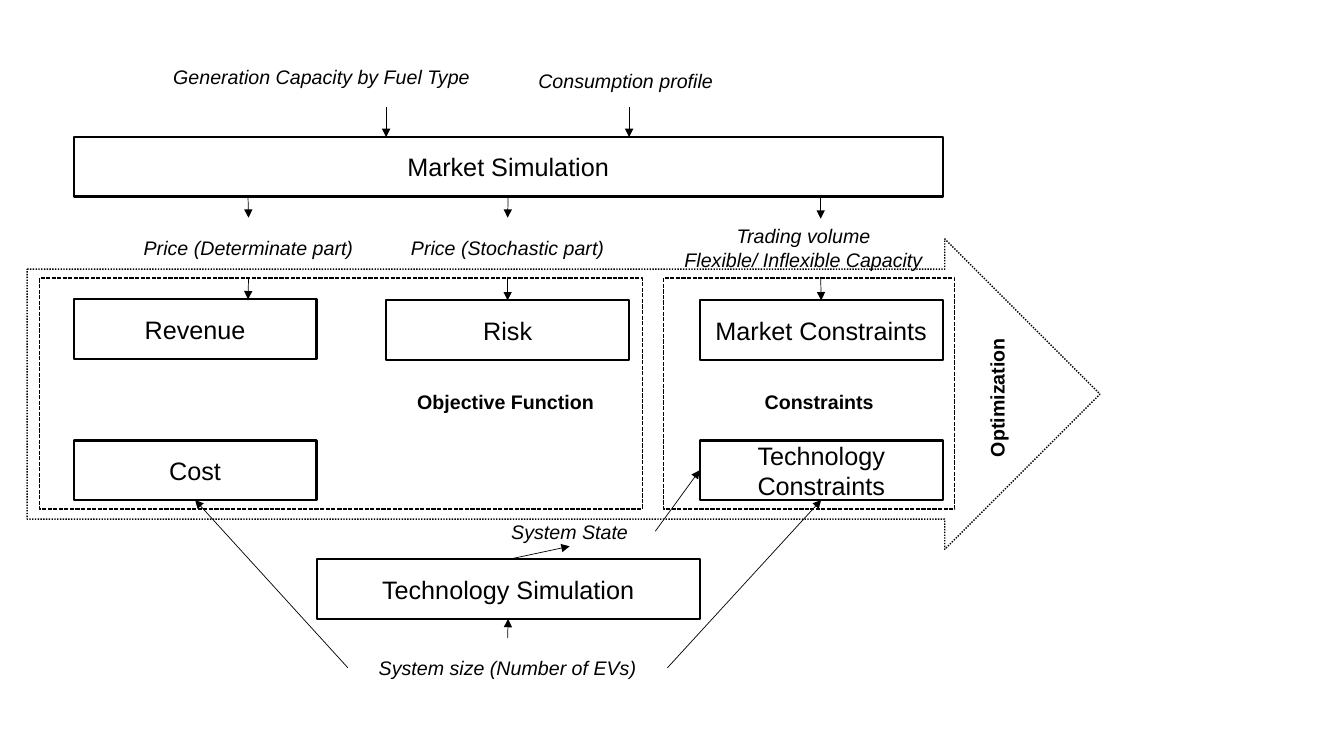
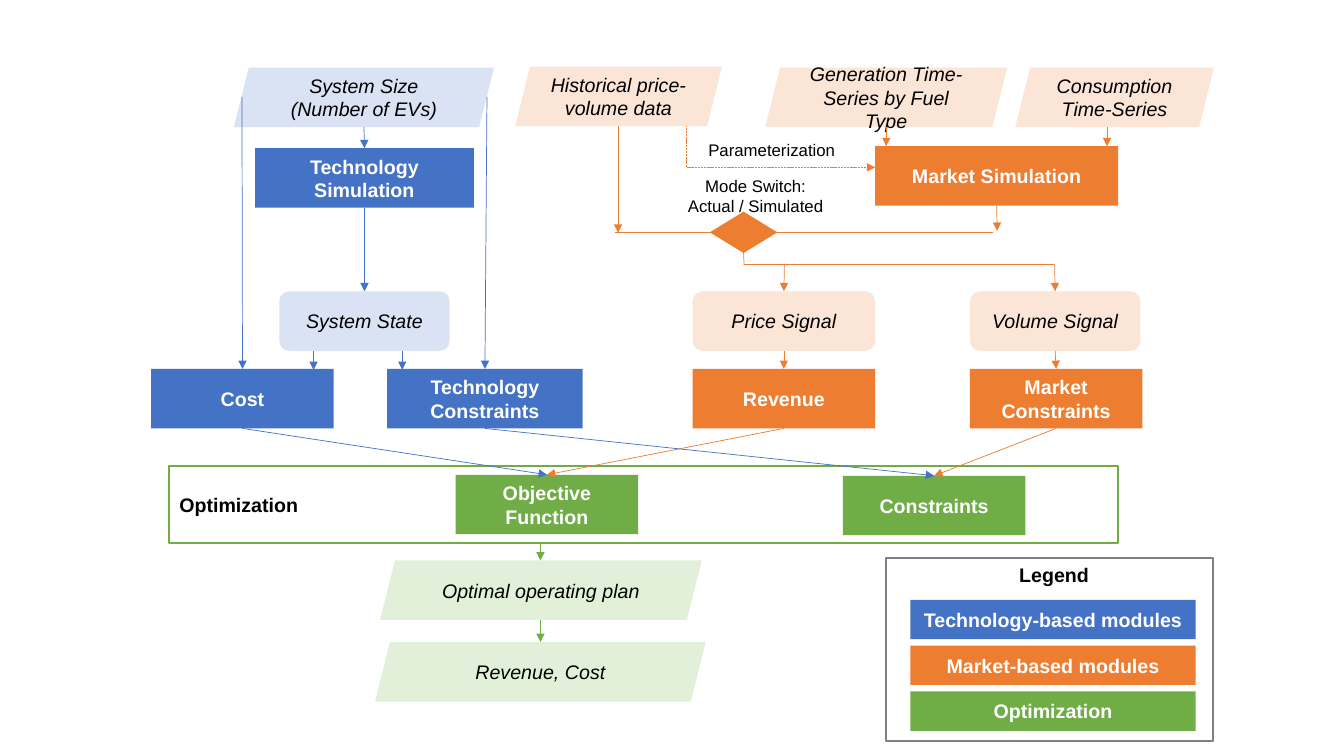
"""Build two flow diagrams of an energy market optimization model."""
from dataclasses import dataclass
from typing import NamedTuple, Optional, Union

from pptx import Presentation
from pptx.dml.color import RGBColor
from pptx.enum.dml import MSO_LINE as Dash
from pptx.enum.shapes import MSO_CONNECTOR, MSO_SHAPE as Preset
from pptx.enum.text import MSO_ANCHOR as Anchor, PP_ALIGN as Align
from pptx.oxml.ns import qn
from pptx.oxml.xmlchemy import OxmlElement
from pptx.util import Inches, Pt


@dataclass(frozen=True)
class Theme:
    font: str = "Arial"
    black: str = "000000"
    white: str = "FFFFFF"
    gray: str = "808080"
    blue: str = "4472C4"
    pale_blue: str = "DAE3F3"
    orange: str = "ED7D31"
    pale_orange: str = "FBE5D6"
    green: str = "70AD47"
    pale_green: str = "E2F0D9"
    large: float = 18
    normal: float = 14
    small: float = 12
    thin: float = 0.5
    dashed: float = 1
    frame: float = 1.5


THEME = Theme()
BAR = 0.59
TOP, LEFT, BOTTOM, RIGHT = range(4)


@dataclass(frozen=True)
class Look:
    preset: Optional[Preset] = None
    fill: str = ""
    line: str = ""
    width: float = THEME.frame
    dash: Optional[Dash] = None
    size: float = THEME.normal
    color: str = THEME.black
    bold: bool = False
    italic: bool = False
    align: Align = Align.CENTER
    anchor: Anchor = Anchor.MIDDLE
    adjustments: tuple[float, ...] = ()
    rotation: float = 0


@dataclass(frozen=True)
class Node:
    look: Look
    text: str
    left: float
    top: float
    width: float
    height: float = BAR
    name: str = ""


class Spot(NamedTuple):
    x: float
    y: float


class Joint(NamedTuple):
    name: str
    side: int


@dataclass(frozen=True)
class Link:
    start: Union[Spot, Joint]
    end: Union[Spot, Joint]
    color: str = THEME.black
    arrow: bool = True
    dash: Optional[Dash] = None


def module(fill: str) -> Look:
    return Look(Preset.RECTANGLE, fill=fill, color=THEME.white, bold=True)


def data(fill: str, preset: Preset = Preset.PARALLELOGRAM) -> Look:
    return Look(preset, fill=fill, italic=True)


OUTLINE = Look(Preset.RECTANGLE, line=THEME.black, size=THEME.large)
ZONE = Look(Preset.RECTANGLE, line=THEME.black, width=THEME.dashed, dash=Dash.SQUARE_DOT)
SCOPE = Look(Preset.RIGHT_ARROW, line=THEME.black, width=THEME.dashed,
             dash=Dash.ROUND_DOT, adjustments=(0.805, 0.5))
FLOW = Look(italic=True)
HEADING = Look(bold=True)
NOTE = Look(size=THEME.small, anchor=Anchor.TOP)
BLUE, ORANGE, GREEN = module(THEME.blue), module(THEME.orange), module(THEME.green)
BLUE_DATA, ORANGE_DATA, GREEN_DATA = (
    data(THEME.pale_blue), data(THEME.pale_orange), data(THEME.pale_green))
BLUE_STATE = data(THEME.pale_blue, Preset.ROUNDED_RECTANGLE)
ORANGE_STATE = data(THEME.pale_orange, Preset.ROUNDED_RECTANGLE)

OVERVIEW_NODES = [
    Node(OUTLINE, "Technology Simulation", 3.14, 5.55, 3.8),
    Node(OUTLINE, "Market Simulation", 0.73, 1.36, 8.62),
    Node(OUTLINE, "Cost", 0.73, 4.37, 2.41),
    Node(OUTLINE, "Revenue", 0.73, 2.97, 2.41),
    Node(OUTLINE, "Risk", 3.83, 2.98, 2.41),
    Node(OUTLINE, "Market Constraints", 6.94, 2.98, 2.41),
    Node(OUTLINE, "Technology Constraints", 6.94, 4.37, 2.41),
    Node(Look(italic=True, align=Align.RIGHT), "Generation Capacity by Fuel Type", 0.65, 0.47, 4.11),
    Node(Look(italic=True, align=Align.LEFT), "Consumption profile", 5.24, 0.51, 4.11),
    Node(FLOW, "Price (Determinate part)", 1.29, 2.16, 2.35),
    Node(FLOW, "Price (Stochastic part)", 3.86, 2.16, 2.35),
    Node(FLOW, "Trading volume\nFlexible/ Inflexible Capacity", 6.44, 2.16, 3.06),
    Node(FLOW, "System size (Number of EVs)", 3.45, 6.33, 3.17),
    Node(FLOW, "System State", 4.8, 5.12, 1.7, 0.3),
    Node(ZONE, "", 0.39, 2.76, 5.98, 2.29),
    Node(ZONE, "", 6.58, 2.76, 2.89, 2.29),
    Node(HEADING, "Objective Function", 3.84, 3.69, 2.35),
    Node(HEADING, "Constraints", 6.95, 3.69, 2.35),
    Node(SCOPE, "", 0.27, 2.37, 10.64, 3.08),
    Node(Look(bold=True, rotation=270), "Optimization", 8.71, 3.65, 2.35),
]

OVERVIEW_LINKS = [
    Link(Spot(3.83, 1.06), Spot(3.83, 1.36)),
    Link(Spot(6.24, 1.06), Spot(6.24, 1.36)),
    Link(Spot(2.46, 1.95), Joint("Price (Determinate part)", TOP)),
    Link(Joint("Price (Determinate part)", BOTTOM), Spot(2.46, 2.97)),
    Link(Joint("Market Simulation", BOTTOM), Joint("Price (Stochastic part)", TOP)),
    Link(Joint("Price (Stochastic part)", BOTTOM), Joint("Risk", TOP)),
    Link(Spot(8.14, 1.95), Spot(8.14, 2.17)),
    Link(Spot(8.14, 2.76), Joint("Market Constraints", TOP)),
    Link(Joint("System size (Number of EVs)", LEFT), Joint("Cost", BOTTOM)),
    Link(Joint("System size (Number of EVs)", RIGHT), Joint("Technology Constraints", BOTTOM)),
    Link(Joint("System size (Number of EVs)", TOP), Joint("Technology Simulation", BOTTOM)),
    Link(Joint("System State", RIGHT), Joint("Technology Constraints", LEFT)),
    Link(Joint("Technology Simulation", TOP), Joint("System State", BOTTOM)),
]

LEGEND = [(BLUE, "Technology-based modules"), (ORANGE, "Market-based modules"),
          (GREEN, "Optimization")]

DETAIL_NODES = [
    Node(ORANGE, "Market Simulation", 8.68, 1.45, 2.41),
    Node(ORANGE_STATE, "Price Signal", 6.87, 2.89, 1.81),
    Node(ORANGE_DATA, "Generation Time-Series by Fuel Type", 7.59, 0.67, 2.4),
    Node(ORANGE_DATA, "Consumption Time-Series", 10.07, 0.67, 1.97),
    Node(ORANGE_STATE, "Volume Signal", 9.62, 2.89, 1.69),
    Node(ORANGE, "Revenue", 6.87, 3.66, 1.81),
    Node(ORANGE, "Market Constraints", 9.62, 3.66, 1.71),
    Node(BLUE, "Cost", 1.5, 3.66, 1.81),
    Node(BLUE, "Technology Constraints", 3.84, 3.66, 1.94),
    Node(BLUE, "Technology Simulation", 2.53, 1.47, 2.17),
    Node(BLUE_STATE, "System State", 2.77, 2.89, 1.69),
    Node(Look(Preset.RECTANGLE, line=THEME.green, bold=True, align=Align.LEFT),
         "Optimization", 1.68, 4.62, 9.41, 0.77),
    Node(GREEN, "Objective Function", 4.52, 4.71, 1.81),
    Node(GREEN, "Constraints", 8.36, 4.72, 1.81),
    Node(GREEN_DATA, "Optimal operating plan", 3.77, 5.56, 3.19),
    Node(GREEN_DATA, "Revenue, Cost", 3.72, 6.37, 3.28),
    Node(BLUE_DATA, "System Size (Number of EVs)", 2.32, 0.67, 2.58),
    Node(ORANGE_DATA, "Historical price-volume data", 5.11, 0.66, 2.05),
    Node(Look(Preset.DIAMOND, fill=THEME.orange), "", 7.04, 2.1, 0.67, 0.41, "Switch"),
    Node(NOTE, "Mode Switch:\nActual / Simulated", 6.28, 1.69, 2.43, 0.5),
    Node(NOTE, "Parameterization", 6.44, 1.34, 2.43, 0.3),
    *(Node(look, text, 9.03, 5.95 + 0.455 * row, 2.83, 0.39)
      for row, (look, text) in enumerate(LEGEND)),
    Node(Look(bold=True, anchor=Anchor.TOP), "Legend", 9.24, 5.54, 2.43, 0.34),
    Node(Look(Preset.RECTANGLE, line=THEME.gray), "", 8.79, 5.54, 3.24, 1.81),
]

DETAIL_LINKS = [
    Link(Spot(6.1, 2.31), Spot(9.85, 2.31), THEME.orange, arrow=False),
    Link(Spot(8.79, 1.26), Spot(8.79, 1.45), THEME.orange),
    Link(Spot(10.98, 1.26), Spot(10.98, 1.45), THEME.orange),
    Link(Spot(7.78, 2.62), Joint("Price Signal", TOP), THEME.orange),
    Link(Spot(10.46, 2.62), Joint("Volume Signal", TOP), THEME.orange),
    Link(Joint("Price Signal", BOTTOM), Joint("Revenue", TOP), THEME.orange),
    Link(Joint("Volume Signal", BOTTOM), Joint("Market Constraints", TOP), THEME.orange),
    Link(Joint("Technology Simulation", BOTTOM), Joint("System State", TOP), THEME.blue),
    Link(Spot(4.83, 0.96), Joint("Technology Constraints", TOP), THEME.blue),
    Link(Spot(3.61, 1.26), Joint("Technology Simulation", TOP), THEME.blue),
    Link(Spot(2.4, 0.96), Joint("Cost", TOP), THEME.blue),
    Link(Joint("Cost", BOTTOM), Joint("Objective Function", TOP), THEME.blue),
    Link(Joint("Revenue", BOTTOM), Joint("Objective Function", TOP), THEME.orange),
    Link(Joint("Technology Constraints", BOTTOM), Joint("Constraints", TOP), THEME.blue),
    Link(Joint("Market Constraints", BOTTOM), Joint("Constraints", TOP), THEME.orange),
    Link(Spot(5.36, 5.39), Spot(5.36, 5.56), THEME.green),
    Link(Spot(5.36, 6.15), Spot(5.36, 6.37), THEME.green),
    Link(Spot(7.38, 2.62), Spot(10.45, 2.62), THEME.orange, arrow=False),
    Link(Spot(6.13, 1.25), Spot(6.13, 2.31), THEME.orange),
    Link(Joint("Market Simulation", BOTTOM), Spot(9.89, 2.29), THEME.orange),
    Link(Joint("Switch", BOTTOM), Spot(7.38, 2.63), THEME.orange, arrow=False),
    Link(Spot(3.99, 3.48), Spot(3.99, 3.67), THEME.blue),
    Link(Spot(3.11, 3.48), Spot(3.11, 3.67), THEME.blue),
    Link(Spot(6.81, 1.66), Spot(8.68, 1.66), THEME.orange, dash=Dash.SQUARE_DOT),
    Link(Spot(6.81, 1.66), Spot(6.81, 1.25), THEME.orange, arrow=False, dash=Dash.SQUARE_DOT),
]


def write_text(box, text: str, *, size: float, color: str, bold: bool, italic: bool,
               align: Align, anchor: Anchor) -> None:
    frame = box.text_frame
    frame.word_wrap = True
    frame.vertical_anchor = anchor
    for index, line in enumerate(text.split("\n")):
        para = frame.add_paragraph() if index else frame.paragraphs[0]
        para.alignment = align
        span = para.add_run()
        span.text = line
        span.font.name = THEME.font
        span.font.size = Pt(size)
        span.font.bold = bold
        span.font.italic = italic
        span.font.color.rgb = RGBColor.from_string(color)


def style_line(line, color: str, width: float, dash: Optional[Dash]) -> None:
    line.color.rgb = RGBColor.from_string(color)
    line.width = Pt(width)
    if dash is not None:
        line.dash_style = dash


def draw_node(page, node: Node):
    look = node.look
    place = [Inches(value) for value in (node.left, node.top, node.width, node.height)]
    if look.preset is None:
        box = page.shapes.add_textbox(*place)
    else:
        box = page.shapes.add_shape(look.preset, *place)
        box.shadow.inherit = False
        for index, value in enumerate(look.adjustments):
            box.adjustments[index] = value
        if look.fill:
            box.fill.solid()
            box.fill.fore_color.rgb = RGBColor.from_string(look.fill)
        else:
            box.fill.background()
        if look.line:
            style_line(box.line, look.line, look.width, look.dash)
        else:
            box.line.fill.background()
    box.rotation = look.rotation
    if node.text:
        write_text(box, node.text, size=look.size, color=look.color, bold=look.bold,
                   italic=look.italic, align=look.align, anchor=look.anchor)
    return box


def draw_link(page, link: Link, boxes: dict) -> None:
    ends = [(Inches(end.x), Inches(end.y)) if isinstance(end, Spot) else (0, 0)
            for end in (link.start, link.end)]
    connector = page.shapes.add_connector(MSO_CONNECTOR.STRAIGHT, *ends[0], *ends[1])
    for end, connect in ((link.start, connector.begin_connect), (link.end, connector.end_connect)):
        if isinstance(end, Joint):
            connect(boxes[end.name], end.side)
    style_line(connector.line, link.color, THEME.thin, link.dash)
    properties = connector.element.spPr
    if link.arrow:
        head = OxmlElement("a:tailEnd")
        head.set("type", "triangle")
        properties.find(qn("a:ln")).append(head)
    properties.append(OxmlElement("a:effectLst"))


def draw_page(deck, nodes: list[Node], links: list[Link]) -> None:
    page = deck.slides.add_slide(deck.slide_layouts[6])
    boxes = {node.name or node.text: draw_node(page, node) for node in nodes}
    for link in links:
        draw_link(page, link, boxes)


def main() -> None:
    deck = Presentation()
    deck.slide_width, deck.slide_height = Inches(13.33), Inches(7.5)
    draw_page(deck, OVERVIEW_NODES, OVERVIEW_LINKS)
    draw_page(deck, DETAIL_NODES, DETAIL_LINKS)
    deck.save("out.pptx")


if __name__ == "__main__":
    main()
